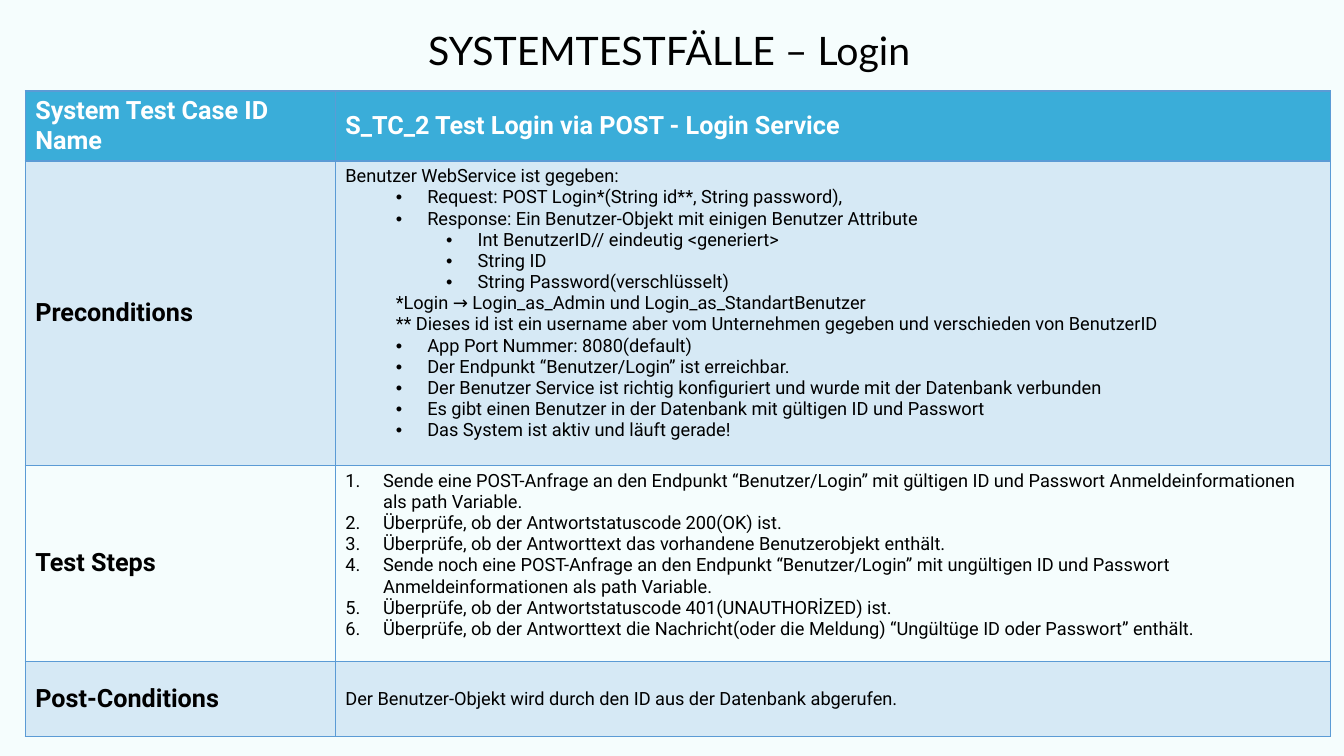
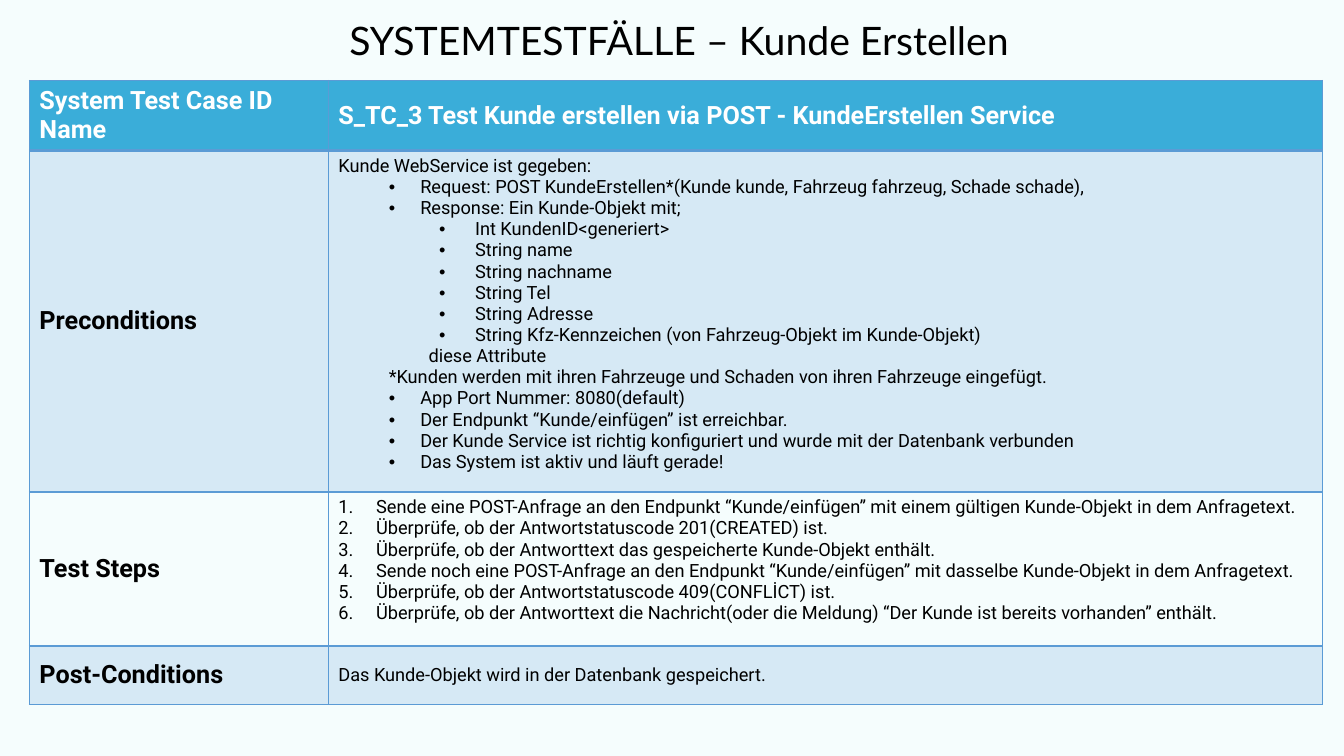
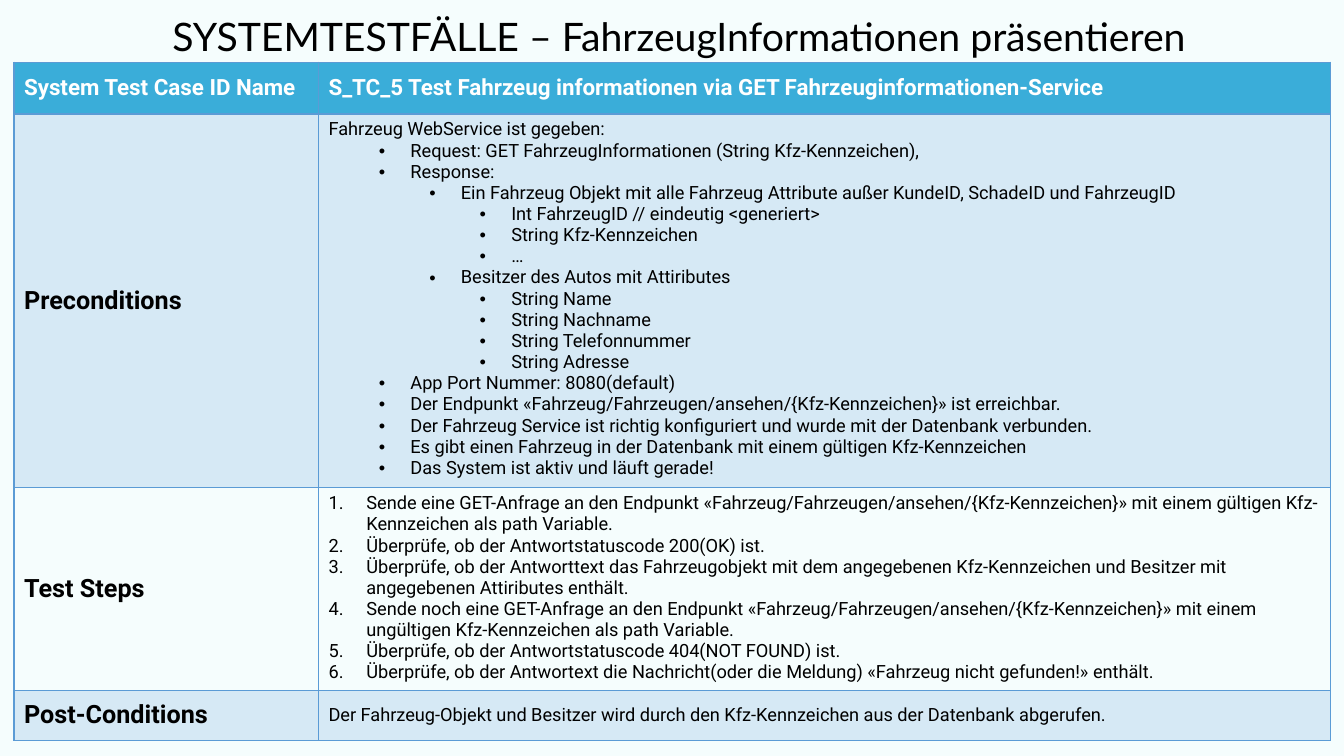
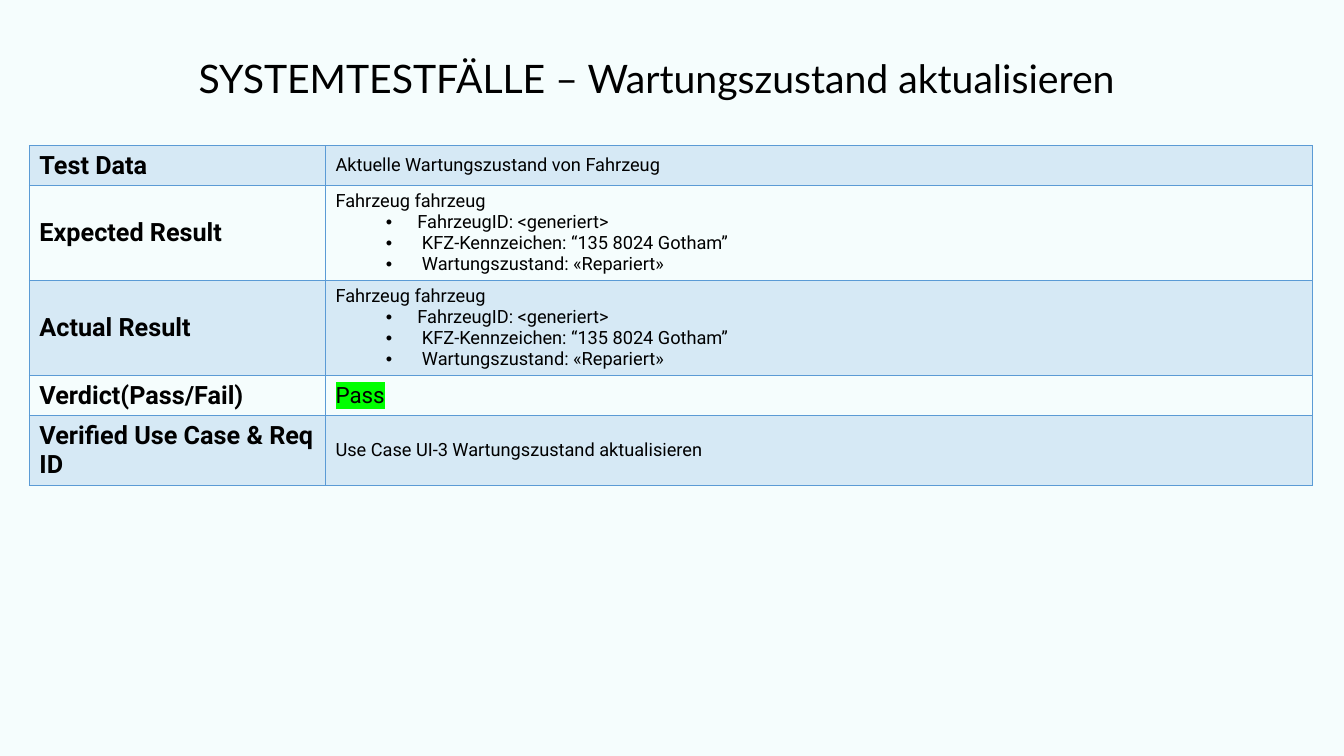
import dataclasses

import lxml.etree
import pptx
import pptx.dml.color
import pptx.enum.text
import pptx.oxml.ns
import pptx.util

Pt = pptx.util.Pt
RGBColor = pptx.dml.color.RGBColor
qn = pptx.oxml.ns.qn

BLACK = RGBColor(0x00, 0x00, 0x00)
WHITE = RGBColor(0xFF, 0xFF, 0xFF)
AQUA = RGBColor(0x4E, 0xDA, 0xE7)
HEADER_BLUE = RGBColor(0x3A, 0xAD, 0xD9)
BLUE = RGBColor(0x5B, 0x9B, 0xD5)
PASS_GREEN = RGBColor(0x00, 0xFF, 0x00)

TITLE_FONT = "Lato"
TABLE_FONT = "Roboto"
LEVEL_STEP = 36
BULLET_GAP = 22.5
WIDE_GAP = 25.7
STEP_GAP = 27


@dataclasses.dataclass
class Line:
    """One paragraph of a cell; left and hang are in points."""
    text: str
    left: float = 0
    hang: float = 0
    mark: str = ""
    size: float = 13
    bold: bool = False
    color: RGBColor = BLACK
    highlight: RGBColor = None


def bullets(level, *texts, gap=BULLET_GAP):
    return [Line(text, level * LEVEL_STEP + gap, gap, "bullet") for text in texts]


def steps(*texts):
    return [Line(text, STEP_GAP, STEP_GAP, "number") for text in texts]


def add_element(parent, tag, **attributes):
    return lxml.etree.SubElement(parent, qn(tag), attributes)


def fill_solid(fill, color, opacity=100):
    fill.solid()
    fill.fore_color.rgb = color
    if opacity < 100:
        tone = fill._xPr.find(".//" + qn("a:srgbClr"))
        add_element(tone, "a:alpha", val=str(opacity * 1000))


class TestCaseDeck:
    """Holds the presentation, its style and the current slide."""

    def __init__(self):
        self.presentation = pptx.Presentation()
        self.presentation.slide_width = Pt(960)
        self.presentation.slide_height = Pt(540)
        fill_solid(self.presentation.slide_master.background.fill, AQUA, 5)
        self.slide = None

    def add_slide(self, topic, left, top, height=34):
        layout = self.presentation.slide_layouts.get_by_name("Title Only")
        self.slide = self.presentation.slides.add_slide(layout)
        title = self.slide.shapes.title
        title.left, title.top = Pt(left), Pt(top)
        title.width, title.height = Pt(918), Pt(height)
        frame = title.text_frame
        frame.text = f"SYSTEMTESTFÄLLE – {topic}"
        frame.word_wrap = True
        frame.auto_size = pptx.enum.text.MSO_AUTO_SIZE.NONE
        frame.vertical_anchor = pptx.enum.text.MSO_ANCHOR.MIDDLE
        heading = frame.paragraphs[0]
        heading.alignment = pptx.enum.text.PP_ALIGN.CENTER
        heading.line_spacing = 0.9
        self.set_font(heading, TITLE_FONT, 28, BLACK)

    def set_font(self, paragraph, name, size, color, bold=False):
        font = paragraph.font
        font.name, font.size, font.bold = name, Pt(size), bold
        font.color.rgb = color

    def add_test_table(self, left, top, widths, rows, header=None, header_height=0,
                       header_size=18):
        """Each row is (height, label, lines); header is the name of the test case."""
        total_height = header_height + sum(height for height, _, _ in rows)
        table = self.slide.shapes.add_table(
            len(rows) + bool(header), 2, Pt(left), Pt(top),
            Pt(sum(widths)), Pt(total_height)).table
        table.first_row = bool(header)
        table.horz_banding = False
        for column, width in zip(table.columns, widths):
            column.width = Pt(width)
        if header:
            table.rows[0].height = Pt(header_height)
            for column, text in enumerate(("System Test Case ID Name", header)):
                cell = table.cell(0, column)
                fill_solid(cell.fill, HEADER_BLUE)
                self.write_cell(cell, [Line(text, size=header_size, bold=True, color=WHITE)])
                self.set_borders(cell, bottom=2)
        for index, (height, label, lines) in enumerate(rows):
            row = index + bool(header)
            table.rows[row].height = Pt(height)
            label_line = Line(label, size=18, bold=True)
            for column, content in enumerate(([label_line], lines)):
                cell = table.cell(row, column)
                if index % 2 == 0:
                    fill_solid(cell.fill, BLUE, 20)
                else:
                    cell.fill.background()
                self.write_cell(cell, content)
                self.set_borders(cell, top=2 if row == 1 and header else 1)

    def write_cell(self, cell, lines):
        anchors = pptx.enum.text.MSO_ANCHOR
        cell.vertical_anchor = anchors.MIDDLE if len(lines) == 1 else anchors.TOP
        frame = cell.text_frame
        for index, line in enumerate(lines):
            paragraph = frame.paragraphs[0] if index == 0 else frame.add_paragraph()
            self.write_line(paragraph, line)

    def write_line(self, paragraph, line):
        run = paragraph.add_run()
        run.text = line.text
        properties = paragraph._p.get_or_add_pPr()
        if line.left:
            properties.set("marL", str(Pt(line.left)))
            properties.set("indent", str(-Pt(line.hang)))
        if line.mark == "bullet":
            add_element(properties, "a:buFont", typeface="Arial")
            add_element(properties, "a:buChar", char="•")
        elif line.mark == "number":
            add_element(properties, "a:buAutoNum", type="arabicPeriod")
        if line.highlight:
            highlight = add_element(run._r.get_or_add_rPr(), "a:highlight")
            add_element(highlight, "a:srgbClr", val=str(line.highlight))
        self.set_font(paragraph, TABLE_FONT, line.size, line.color, line.bold)

    def set_borders(self, cell, top=1, bottom=1):
        properties = cell._tc.get_or_add_tcPr()
        sides = (("a:lnL", 1), ("a:lnR", 1), ("a:lnT", top), ("a:lnB", bottom))
        for position, (tag, width) in enumerate(sides):
            border = add_element(properties, tag, w=str(Pt(width)))
            add_element(add_element(border, "a:solidFill"), "a:srgbClr", val=str(BLUE))
            properties.insert(position, border)


def add_login(deck):
    deck.add_slide("Login", 19, 21)
    preconditions = [
        Line("Benutzer WebService ist gegeben:"),
        *bullets(1, "Request: POST Login*(String id**, String password),",
                 "Response: Ein Benutzer-Objekt mit einigen Benutzer Attribute"),
        *bullets(2, "Int BenutzerID// eindeutig <generiert>", "String ID",
                 "String Password(verschlüsselt)"),
        Line("*Login → Login_as_Admin und Login_as_StandartBenutzer", LEVEL_STEP),
        Line("** Dieses id ist ein username aber vom Unternehmen gegeben und verschieden "
             "von BenutzerID", LEVEL_STEP),
        *bullets(1, "App Port Nummer: 8080(default)",
                 "Der Endpunkt “Benutzer/Login” ist erreichbar.",
                 "Der Benutzer Service ist richtig konfiguriert und wurde mit der "
                 "Datenbank verbunden",
                 "Es gibt einen Benutzer in der Datenbank mit gültigen ID und Passwort",
                 "Das System ist aktiv und läuft gerade!"),
    ]
    test_steps = steps(
        "Sende eine POST-Anfrage an den Endpunkt “Benutzer/Login” mit gültigen ID und "
        "Passwort Anmeldeinformationen als path Variable.",
        "Überprüfe, ob der Antwortstatuscode 200(OK) ist.",
        "Überprüfe, ob der Antworttext das vorhandene Benutzerobjekt enthält.",
        "Sende noch eine POST-Anfrage an den Endpunkt “Benutzer/Login” mit ungültigen ID "
        "und Passwort Anmeldeinformationen als path Variable.",
        "Überprüfe, ob der Antwortstatuscode 401(UNAUTHORİZED) ist.",
        "Überprüfe, ob der Antworttext die Nachricht(oder die Meldung) “Ungültüge ID oder "
        "Passwort” enthält.")
    result = Line("Der Benutzer-Objekt wird durch den ID aus der Datenbank abgerufen.")
    deck.add_test_table(18, 65, (221.5, 711), [
        (217.5, "Preconditions", preconditions),
        (140, "Test Steps", test_steps),
        (53.5, "Post-Conditions", [result]),
    ], "S_TC_2 Test Login via POST - Login Service", 50)


def add_customer_creation(deck):
    deck.add_slide("Kunde Erstellen", 26, 13.5)
    preconditions = [
        Line("Kunde WebService ist gegeben:"),
        *bullets(1, "Request: POST KundeErstellen*(Kunde kunde, Fahrzeug fahrzeug, "
                    "Schade schade),",
                 "Response: Ein Kunde-Objekt mit;"),
        *bullets(2, "Int KundenID<generiert>", "String name", "String nachname",
                 "String Tel", "String Adresse",
                 "String Kfz-Kennzeichen (von Fahrzeug-Objekt im Kunde-Objekt)",
                 gap=WIDE_GAP),
        Line("diese Attribute", 64.5),
        Line("*Kunden werden mit ihren Fahrzeuge und Schaden von ihren Fahrzeuge "
             "eingefügt.", LEVEL_STEP),
        *bullets(1, "App Port Nummer: 8080(default)",
                 "Der Endpunkt “Kunde/einfügen” ist erreichbar.",
                 "Der Kunde Service ist richtig konfiguriert und wurde mit der Datenbank "
                 "verbunden",
                 "Das System ist aktiv und läuft gerade!"),
    ]
    test_steps = steps(
        "Sende eine POST-Anfrage an den Endpunkt “Kunde/einfügen” mit einem gültigen "
        "Kunde-Objekt in dem Anfragetext.",
        "Überprüfe, ob der Antwortstatuscode 201(CREATED) ist.",
        "Überprüfe, ob der Antworttext das gespeicherte Kunde-Objekt enthält.",
        "Sende noch eine POST-Anfrage an den Endpunkt “Kunde/einfügen” mit dasselbe "
        "Kunde-Objekt in dem Anfragetext.",
        "Überprüfe, ob der Antwortstatuscode 409(CONFLİCT) ist.",
        "Überprüfe, ob der Antworttext die Nachricht(oder die Meldung) “Der Kunde ist "
        "bereits vorhanden” enthält.")
    result = Line("Das Kunde-Objekt wird in der Datenbank gespeichert.")
    deck.add_test_table(21, 57.5, (213.5, 710), [
        (244, "Preconditions", preconditions),
        (110, "Test Steps", test_steps),
        (42, "Post-Conditions", [result]),
    ], "S_TC_3 Test Kunde erstellen via POST - KundeErstellen Service", 50)


def add_vehicle_information(deck):
    deck.add_slide("FahrzeugInformationen präsentieren", 26, 10.5)
    preconditions = [
        Line("Fahrzeug WebService ist gegeben:"),
        *bullets(1, "Request: GET FahrzeugInformationen (String Kfz-Kennzeichen),",
                 "Response:"),
        *bullets(2, "Ein Fahrzeug Objekt mit alle Fahrzeug Attribute außer KundeID, "
                    "SchadeID und FahrzeugID"),
        *bullets(3, "Int FahrzeugID // eindeutig <generiert>", "String Kfz-Kennzeichen",
                 "…"),
        *bullets(2, "Besitzer des Autos mit Attiributes"),
        *bullets(3, "String Name", "String Nachname", "String Telefonnummer",
                 "String Adresse"),
        *bullets(1, "App Port Nummer: 8080(default)",
                 "Der Endpunkt «Fahrzeug/Fahrzeugen/ansehen/{Kfz-Kennzeichen}» ist "
                 "erreichbar.",
                 "Der Fahrzeug Service ist richtig konfiguriert und wurde mit der "
                 "Datenbank verbunden.",
                 "Es gibt einen Fahrzeug in der Datenbank mit einem gültigen "
                 "Kfz-Kennzeichen",
                 "Das System ist aktiv und läuft gerade!"),
    ]
    test_steps = steps(
        "Sende eine GET-Anfrage an den Endpunkt «Fahrzeug/Fahrzeugen/ansehen/"
        "{Kfz-Kennzeichen}» mit einem gültigen Kfz-Kennzeichen als path Variable.",
        "Überprüfe, ob der Antwortstatuscode 200(OK) ist.",
        "Überprüfe, ob der Antworttext das Fahrzeugobjekt mit dem angegebenen "
        "Kfz-Kennzeichen und Besitzer mit angegebenen Attiributes enthält.",
        "Sende noch eine GET-Anfrage an den Endpunkt «Fahrzeug/Fahrzeugen/ansehen/"
        "{Kfz-Kennzeichen}» mit einem ungültigen Kfz-Kennzeichen als path Variable.",
        "Überprüfe, ob der Antwortstatuscode 404(NOT FOUND) ist.",
        "Überprüfe, ob der Antwortext die Nachricht(oder die Meldung) «Fahrzeug nicht "
        "gefunden!» enthält.")
    result = Line("Der Fahrzeug-Objekt und Besitzer wird durch den Kfz-Kennzeichen aus der "
                  "Datenbank abgerufen.")
    deck.add_test_table(10, 44.5, (217.5, 723), [
        (267, "Preconditions", preconditions),
        (144.5, "Test Steps", test_steps),
        (36, "Post-Conditions", [result]),
    ], "S_TC_5 Test Fahrzeug informationen via GET Fahrzeuginformationen-Service", 37, 16)


def add_maintenance_result(deck):
    deck.add_slide("Wartungszustand aktualisieren", 10, 38, 40)
    vehicle = [
        Line("Fahrzeug fahrzeug"),
        *bullets(1, "FahrzeugID: <generiert>"),
        *bullets(1, "KFZ-Kennzeichen: “135 8024 Gotham”", "Wartungszustand: «Repariert»",
                 gap=WIDE_GAP),
    ]
    deck.add_test_table(21, 104, (211.5, 705), [
        (28, "Test Data", [Line("Aktuelle Wartungszustand von Fahrzeug")]),
        (68, "Expected Result", vehicle),
        (68, "Actual Result", vehicle),
        (28, "Verdict(Pass/Fail)", [Line("Pass", size=16, highlight=PASS_GREEN)]),
        (50, "Verified Use Case & Req ID",
         [Line("Use Case UI-3 Wartungszustand aktualisieren")]),
    ])


def main():
    deck = TestCaseDeck()
    add_login(deck)
    add_customer_creation(deck)
    add_vehicle_information(deck)
    add_maintenance_result(deck)
    deck.presentation.save("out.pptx")


if __name__ == "__main__":
    main()
